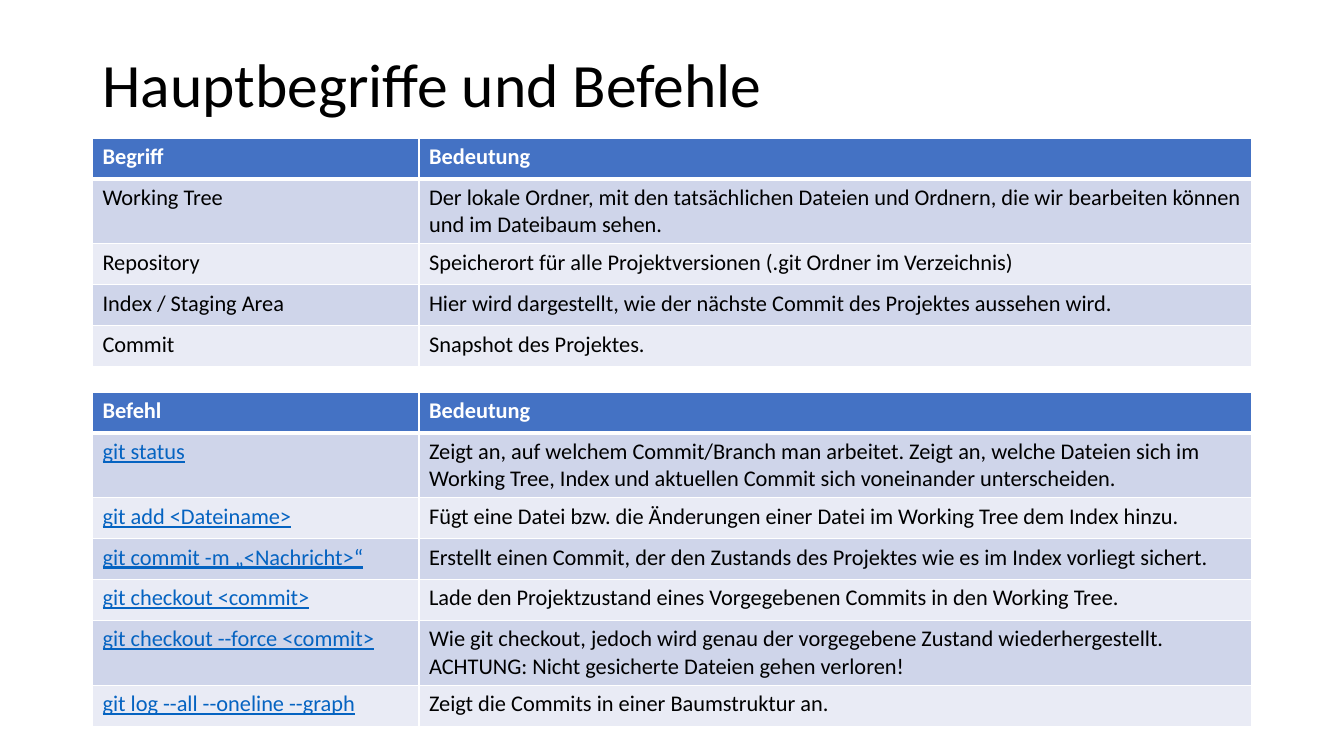
"""Build the slide with the main Git terms and commands."""
from dataclasses import dataclass

from lxml.etree import SubElement
from pptx import Presentation
from pptx.dml.color import RGBColor as Rgb
from pptx.enum.text import MSO_ANCHOR as Anchor, PP_ALIGN as Align
from pptx.oxml.ns import qn
from pptx.util import Cm, Pt


@dataclass(frozen=True)
class Theme:
    font: str = "Calibri"
    title_size: int = 44
    table_size: int = 16
    text: str = "000000"
    white: str = "FFFFFF"
    header: str = "4472C4"
    bands: tuple = ("CFD5EA", "E9EBF5")
    command: str = "0563C1"


THEME = Theme()
LEFT, WIDTH, TERM_WIDTH, ROW_HEIGHT = 2.33, 29.21, 8.23, 1.03

TERMS = [
    ("Begriff", "Bedeutung"),
    ("Working Tree", "Der lokale Ordner, mit den tatsächlichen Dateien und Ordnern, "
     "die wir bearbeiten können und im Dateibaum sehen."),
    ("Repository", "Speicherort für alle Projektversionen (.git Ordner im Verzeichnis)"),
    ("Index / Staging Area",
     "Hier wird dargestellt, wie der nächste Commit des Projektes aussehen wird."),
    ("Commit", "Snapshot des Projektes."),
]
COMMANDS = [
    ("Befehl", "Bedeutung"),
    ("git status", "Zeigt an, auf welchem Commit/Branch man arbeitet. Zeigt an, welche "
     "Dateien sich im Working Tree, Index und aktuellen Commit sich voneinander unterscheiden."),
    ("git add <Dateiname>",
     "Fügt eine Datei bzw. die Änderungen einer Datei im Working Tree dem Index hinzu."),
    ("git commit -m „<Nachricht>“",
     "Erstellt einen Commit, der den Zustands des Projektes wie es im Index vorliegt sichert."),
    ("git checkout <commit>",
     "Lade den Projektzustand eines Vorgegebenen Commits in den Working Tree."),
    ("git checkout --force <commit>", "Wie git checkout, jedoch wird genau der vorgegebene "
     "Zustand wiederhergestellt. ACHTUNG: Nicht gesicherte Dateien gehen verloren!"),
    ("git log --all --oneline --graph", "Zeigt die Commits in einer Baumstruktur an."),
]


def style_font(font, size, color):
    font.name = THEME.font
    font.size = Pt(size)
    font.color.rgb = Rgb.from_string(color)


def add_borders(cell, below_header, above_rows):
    widths = {"a:lnL": 1, "a:lnR": 1, "a:lnT": above_rows, "a:lnB": below_header}
    for side, points in widths.items():
        border = SubElement(cell._tc.get_or_add_tcPr(), qn(side), w=str(Pt(points)))
        SubElement(SubElement(border, qn("a:solidFill")), qn("a:srgbClr"), val=THEME.white)


deck = Presentation()
deck.slide_width, deck.slide_height = Cm(33.87), Cm(19.05)
slide = deck.slides.add_slide(deck.slide_layouts[5])

heading = slide.shapes.title
heading.left, heading.top, heading.width, heading.height = Cm(LEFT), Cm(0.36), Cm(WIDTH), Cm(3.68)
heading.text_frame.text = "Hauptbegriffe und Befehle"
heading.text_frame.vertical_anchor = Anchor.MIDDLE
heading_line = heading.text_frame.paragraphs[0]
heading_line.alignment = Align.LEFT
heading_line.line_spacing = 0.9
style_font(heading_line.runs[0].font, THEME.title_size, THEME.text)

for entries, top, first_color, underlined in (
    (TERMS, 3.48, THEME.text, False),
    (COMMANDS, 9.88, THEME.command, True),
):
    glossary = slide.shapes.add_table(
        len(entries), 2, Cm(LEFT), Cm(top), Cm(WIDTH), Cm(ROW_HEIGHT * len(entries))
    ).table
    glossary.columns[0].width = Cm(TERM_WIDTH)
    glossary.columns[1].width = Cm(WIDTH - TERM_WIDTH)
    for row, entry in enumerate(entries):
        glossary.rows[row].height = Cm(ROW_HEIGHT)
        is_header = row == 0
        for column, wording in enumerate(entry):
            cell = glossary.cell(row, column)
            add_borders(cell, 3 if is_header else 1, 3 if row == 1 else 1)
            cell.fill.solid()
            cell.fill.fore_color.rgb = Rgb.from_string(
                THEME.header if is_header else THEME.bands[(row - 1) % 2]
            )
            cell.text_frame.text = wording
            font = cell.text_frame.paragraphs[0].runs[0].font
            body_color = first_color if column == 0 else THEME.text
            style_font(font, THEME.table_size, THEME.white if is_header else body_color)
            font.bold = is_header
            font.underline = underlined and column == 0 and not is_header

deck.save("out.pptx")
